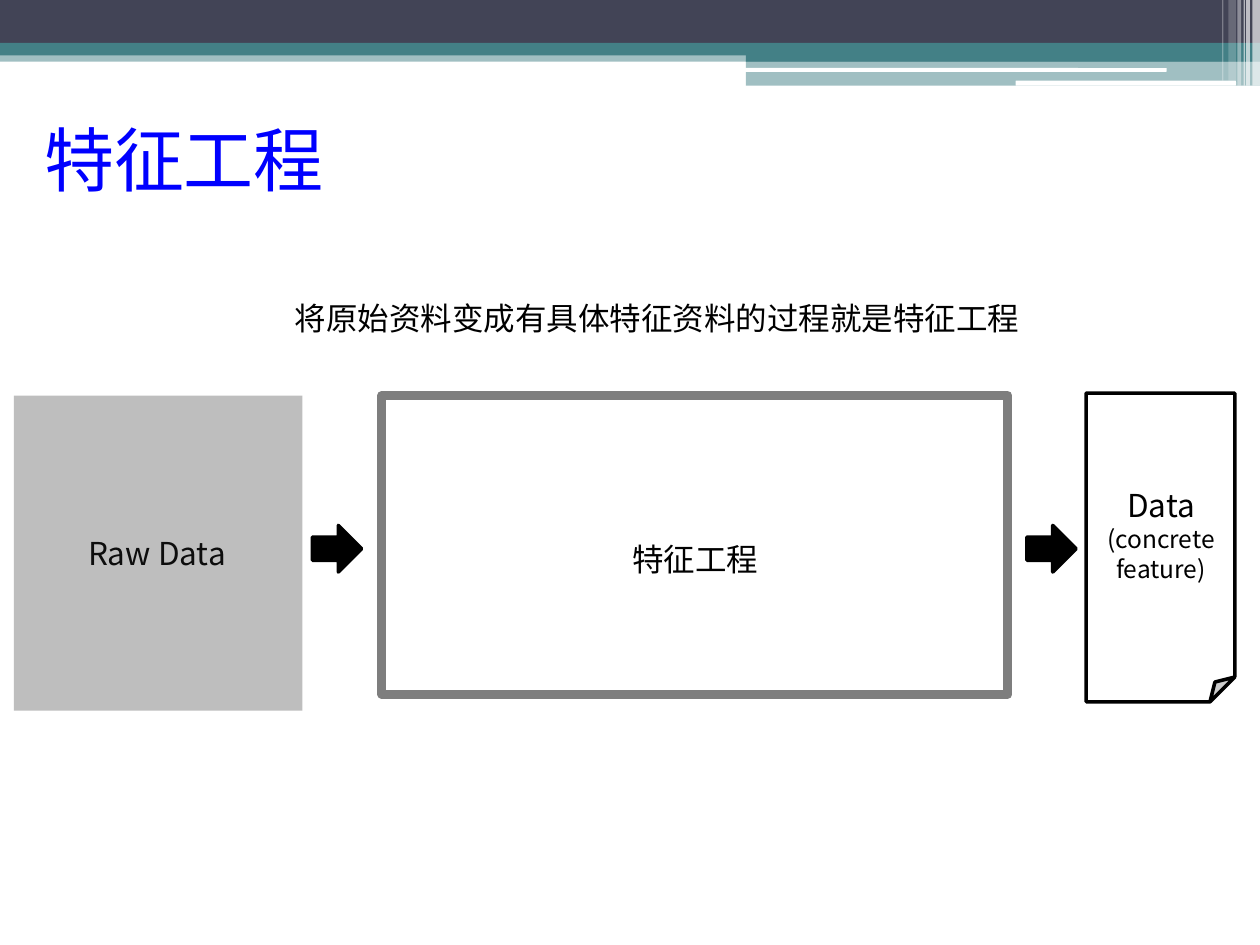
from pptx import Presentation
from pptx.dml.color import RGBColor
from pptx.enum.shapes import MSO_SHAPE as Kind
from pptx.enum.text import MSO_ANCHOR as Anchor, PP_ALIGN as Align
from pptx.oxml.ns import qn
from pptx.oxml.xmlchemy import OxmlElement as Node
from pptx.util import Inches, Pt


def paint(fill, tone, alpha=100):
    fill.solid()
    fill.fore_color.rgb = RGBColor.from_string(tone)
    if alpha < 100:
        node = Node("a:alpha")
        node.set("val", str(alpha * 1000))
        fill._xPr.find(".//" + qn("a:srgbClr")).append(node)


def write(frame, rows, font, tone, anchor=Anchor.TOP, top=0.01):
    form = {"word_wrap": True, "margin_left": Inches(0.01), "margin_right": 0,
            "margin_top": Inches(top), "margin_bottom": 0,
            "vertical_anchor": anchor}
    for key, value in form.items():
        setattr(frame, key, value)
    for i, (words, size, align) in enumerate(rows):
        para = frame.add_paragraph() if i else frame.paragraphs[0]
        para.alignment = align
        para.space_before = Pt(0 if i else 1)
        run = para.add_run()
        run.text = words
        for key, value in {"size": Pt(size), "name": font}.items():
            setattr(run.font, key, value)
        paint(run.font.fill, tone)
        face = Node("a:ea")
        face.set("typeface", font)
        run.font._element.append(face)


SC, JP = "Noto Sans CJK SC", "Noto Sans CJK JP"
NAVY, TEAL, WHITE, BLACK = "424456", "438086", "FFFFFF", "000000"
LEFT, MID = Align.LEFT, Align.CENTER

deck = Presentation()
deck.slide_width, deck.slide_height = Inches(10), Inches(7.5)
slide = deck.slides.add_slide(deck.slide_layouts[6])

bands = [
    (Kind.RECTANGLE, 0, 0.4, 10, 0.09, TEAL, 50),
    (Kind.RECTANGLE, 0, 0, 10, 0.34, NAVY, 100),
    (Kind.RECTANGLE, 0, 0.34, 10, 0.1, TEAL, 100),
    (Kind.RECTANGLE, 5.92, 0.39, 4.08, 0.1, TEAL, 100),
    (Kind.RECTANGLE, 5.92, 0.48, 4.08, 0.2, TEAL, 50),
    (Kind.ROUNDED_RECTANGLE, 5.91, 0.54, 3.35, 0.03, WHITE, 100),
    (Kind.ROUNDED_RECTANGLE, 8.06, 0.64, 1.75, 0.04, WHITE, 100),
]
stripes = [(9.94, 0.06, 0.68, 65), (9.89, 0.03, 0.68, 65), (9.87, 0.01, 0.68, 60),
           (9.82, 0.03, 0.68, 40), (9.75, 0.06, 0.64, 20), (9.7, 0.01, 0.64, 30)]
bands += [(Kind.RECTANGLE, x, 0, w, h, WHITE, alpha) for x, w, h, alpha in stripes]

parts = [(*band, None, 0) for band in bands] + [
    (Kind.RECTANGLE, 0.11, 3.14, 2.29, 2.5, "BEBEBE", 100, None, 0),
    (Kind.FOLDED_CORNER, 8.62, 3.12, 1.18, 2.45, WHITE, 100, BLACK, 2.04),
] + [(Kind.RIGHT_ARROW, x, 4.17, 0.39, 0.37, BLACK, 100, BLACK, 2.04)
     for x in (2.48, 8.15)] + [
    (Kind.RECTANGLE, 3.03, 3.14, 4.97, 2.37, None, 100, "7E7E7E", 5.04),
]

for kind, x, y, w, h, tone, alpha, edge, width in parts:
    shape = slide.shapes.add_shape(kind, Inches(x), Inches(y), Inches(w), Inches(h))
    shape.shadow.inherit = False
    if tone:
        paint(shape.fill, tone, alpha)
    else:
        shape.fill.background()
    if edge:
        paint(shape.line.fill, edge)
        shape.line.width = Pt(width)
        shape.line._ln.append(Node("a:round"))
    else:
        shape.line.fill.background()

stage = shape
write(stage.text_frame, [("特征工程", 18, MID)], JP, BLACK, Anchor.MIDDLE, 0.22)

texts = [
    (0.34, 0.91, 2.48, 0.69, SC, "0000FF", Anchor.MIDDLE,
     [("特征工程", 40, LEFT)]),
    (0.69, 4.23, 1.13, 0.33, JP, "0D0D0D", Anchor.TOP,
     [("Raw Data", 18, LEFT)]),
    (8.76, 3.85, 0.9, 0.8, JP, BLACK, Anchor.TOP,
     [("Data", 18, MID), ("(concrete feature)", 14, MID)]),
    (2.33, 2.36, 5.78, 0.32, SC, BLACK, Anchor.TOP,
     [("将原始资料变成有具体特征资料的过程就是特征工程", 18, LEFT)]),
]
for x, y, w, h, font, tone, anchor, rows in texts:
    box = slide.shapes.add_textbox(Inches(x), Inches(y), Inches(w), Inches(h))
    write(box.text_frame, rows, font, tone, anchor)

deck.save("out.pptx")
